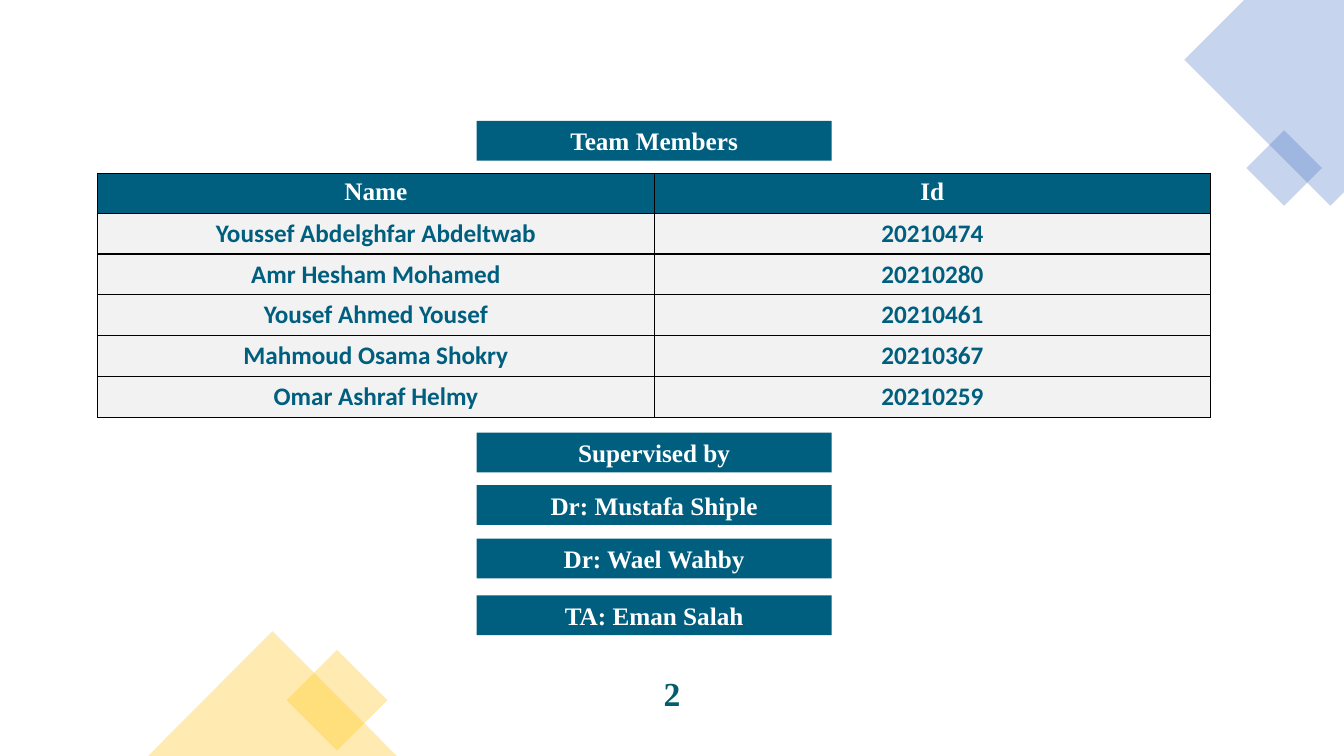
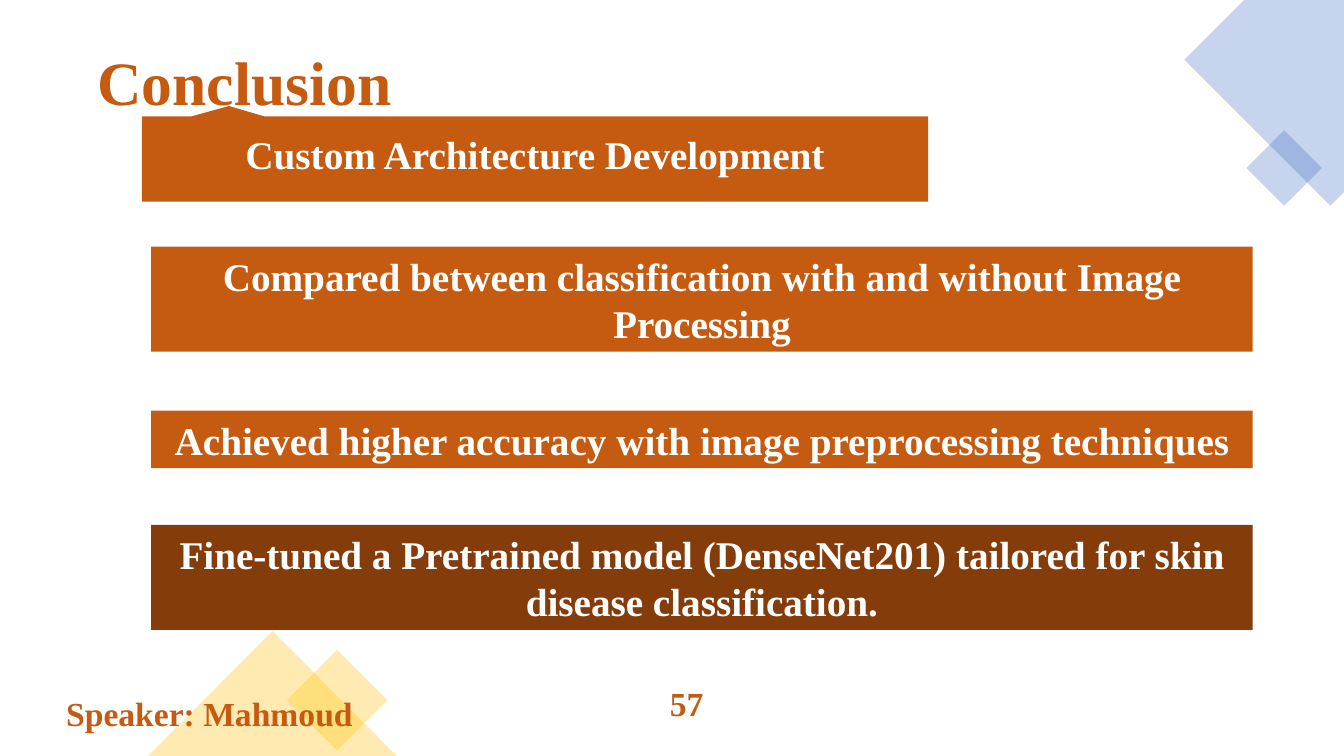
from lxml.etree import SubElement
from pptx import Presentation
from pptx.dml.color import RGBColor
from pptx.enum.shapes import MSO_SHAPE as Preset
from pptx.enum.text import MSO_ANCHOR as Anchor, MSO_AUTO_SIZE as AutoSize, PP_ALIGN as Align
from pptx.oxml.ns import qn
from pptx.util import Pt

PX = 9525  # EMU in one px, 96 px to the inch
TITLE_ONLY = 5
SERIF, SANS = "Times New Roman", "Calibri"
COLOURS = {
    "teal": "005E7F", "deep teal": "035D6C", "orange": "C55A11",
    "brown": "843C0B", "blue": "4472C4", "gold": "FFC000",
    "grey": "F2F2F2", "white": "FFFFFF", "black": "000000",
}


def rgb(name):
    return RGBColor.from_string(COLOURS[name])


class Deck:
    def __init__(self):
        self.presentation = Presentation()
        self.presentation.slide_width = 1280 * PX
        self.presentation.slide_height = 720 * PX
        self.slide = None

    def new_slide(self):
        layout = self.presentation.slide_layouts[TITLE_ONLY]
        self.slide = self.presentation.slides.add_slide(layout)
        self.corner_motifs()

    def corner_motifs(self):
        corner = [(1280, 0), (1185, 0), (1128, 57), (1267, 196), (1280, 183)]
        motifs = [
            (self.polygon(corner), "blue"),
            (self.preset(Preset.DIAMOND, 1187, 124, 72, 72), "blue"),
            (self.preset(Preset.DIAMOND, 273, 619, 96, 96), "gold"),
            (self.preset(Preset.ISOSCELES_TRIANGLE, 141, 601, 237, 119), "gold"),
        ]
        for motif, colour in motifs:
            self.paint(motif, colour, opacity=30)

    def preset(self, kind, left, top, width, height):
        return self.slide.shapes.add_shape(
            kind, left * PX, top * PX, width * PX, height * PX)

    def polygon(self, points):
        builder = self.slide.shapes.build_freeform(*points[0], scale=PX)
        builder.add_line_segments(points[1:], close=True)
        return builder.convert_to_shape()

    def paint(self, shape, colour, opacity=100):
        """Fill a shape without outline or shadow; opacity is in percent."""
        shape.shadow.inherit = False
        shape.line.fill.background()
        shape.fill.solid()
        shape.fill.fore_color.rgb = rgb(colour)
        if opacity < 100:
            fill_colour = next(shape.element.iter(qn("a:srgbClr")))
            SubElement(fill_colour, qn("a:alpha")).set("val", str(opacity * 1000))

    def set_text(self, frame, text, size, colour, align=Align.CENTER, font=SERIF):
        frame.text = text
        frame.word_wrap = True
        paragraph = frame.paragraphs[0]
        paragraph.alignment = align
        for run in paragraph.runs:
            run.font.name = font
            run.font.size = Pt(size)
            run.font.bold = True
            run.font.color.rgb = rgb(colour)

    def title(self, text, box, size, colour, align=Align.CENTER):
        title = self.slide.shapes.title
        title.left, title.top, title.width, title.height = (n * PX for n in box)
        self.set_text(title.text_frame, text, size, colour, align)
        title.text_frame.auto_size = AutoSize.NONE
        title.text_frame.vertical_anchor = Anchor.MIDDLE
        return title

    def banner(self, text, box, size, fill):
        self.label_shape(self.preset(Preset.RECTANGLE, *box), text, size, fill)

    def callout(self, text, points, size, fill):
        self.label_shape(self.polygon(points), text, size, fill)

    def label_shape(self, shape, text, size, fill):
        self.paint(shape, fill)
        self.set_text(shape.text_frame, text, size, "white")
        shape.text_frame.vertical_anchor = Anchor.MIDDLE

    def footer(self, text, box, colour):
        frame = self.slide.shapes.add_textbox(*(n * PX for n in box)).text_frame
        frame.margin_left = frame.margin_right = 0
        frame.margin_top = frame.margin_bottom = 0
        self.set_text(frame, text, 24, colour)

    def table(self, rows, left, top, width, row_height):
        table = self.slide.shapes.add_table(
            len(rows), len(rows[0]), left * PX, top * PX,
            width * PX, len(rows) * row_height * PX).table
        for r, row in enumerate(rows):
            for c, text in enumerate(row):
                cell = table.cell(r, c)
                self.cell_borders(cell)
                cell.fill.solid()
                if r == 0:
                    cell.fill.fore_color.rgb = rgb("teal")
                    self.set_text(cell.text_frame, text, 18, "white")
                else:
                    cell.fill.fore_color.rgb = rgb("grey")
                    self.set_text(cell.text_frame, text, 18, "teal", font=SANS)

    def cell_borders(self, cell):
        properties = cell._tc.get_or_add_tcPr()
        for side in ("a:lnL", "a:lnR", "a:lnT", "a:lnB"):
            border = SubElement(properties, qn(side), w=str(Pt(1)))
            fill = SubElement(border, qn("a:solidFill"))
            SubElement(fill, qn("a:srgbClr"), val=COLOURS["black"])


def team_slide(deck):
    left, width, height = 454, 338, 38
    deck.new_slide()
    heading = deck.title("Team Members", (left, 115, width, height), 18, "white")
    deck.paint(heading, "teal")
    deck.table([
        ("Name", "Id"),
        ("Youssef Abdelghfar Abdeltwab", "20210474"),
        ("Amr Hesham Mohamed", "20210280"),
        ("Yousef Ahmed Yousef", "20210461"),
        ("Mahmoud Osama Shokry", "20210367"),
        ("Omar Ashraf Helmy", "20210259"),
    ], 93, 165, 1060, 38)
    supervisors = [
        ("Supervised by", 412), ("Dr: Mustafa Shiple", 462),
        ("Dr: Wael Wahby", 513), ("TA: Eman Salah", 567),
    ]
    for name, top in supervisors:
        deck.banner(name, (left, top, width, height), 18, "teal")
    deck.footer("2", (478, 641, 324, 38), "deep teal")


def conclusion_slide(deck):
    deck.new_slide()
    deck.title("Conclusion", (83, 37, 368, 81), 44, "orange", Align.LEFT)
    deck.callout("Custom Architecture Development", [
        (135, 192), (884, 192), (884, 111), (252, 111),
        (218, 101), (182, 111), (135, 111),
    ], 28, "orange")
    findings = [
        ("Compared between classification with and without Image Processing",
         235, 100, "orange"),
        ("Achieved higher accuracy with image preprocessing techniques",
         391, 55, "orange"),
        ("Fine-tuned a Pretrained model (DenseNet201) tailored for skin "
         "disease classification.", 500, 100, "brown"),
    ]
    for finding, top, height, fill in findings:
        deck.banner(finding, (144, top, 1049, height), 28, fill)
    deck.footer("Speaker: Mahmoud", (45, 660, 309, 38), "orange")
    deck.footer("57", (423, 650, 462, 38), "orange")


def main():
    deck = Deck()
    team_slide(deck)
    conclusion_slide(deck)
    deck.presentation.save("out.pptx")


if __name__ == "__main__":
    main()
